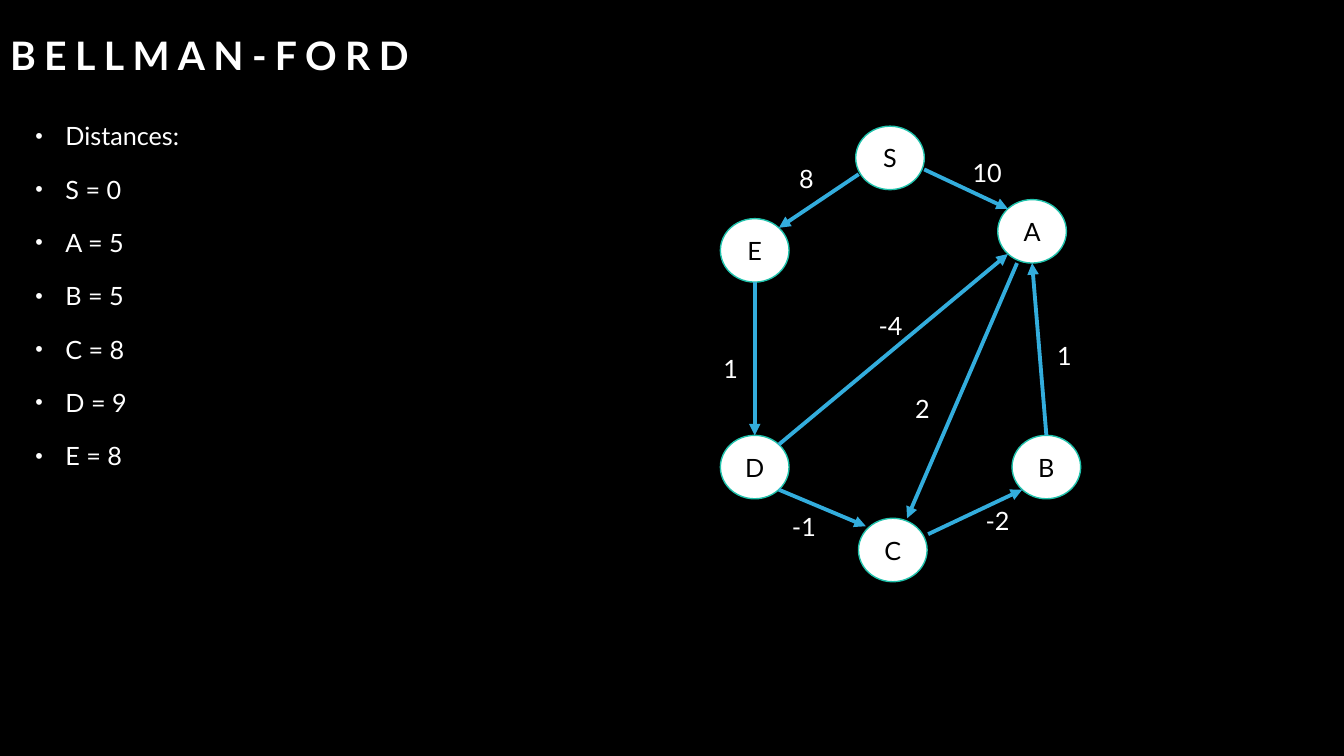
from typing import NamedTuple

from lxml import etree
from pptx import Presentation
from pptx.dml.color import RGBColor
from pptx.enum.shapes import MSO_CONNECTOR, MSO_SHAPE
from pptx.enum.text import MSO_ANCHOR, MSO_AUTO_SIZE, PP_ALIGN
from pptx.oxml.ns import qn
from pptx.util import Cm, Pt

ELLIPSE, STRAIGHT = MSO_SHAPE.OVAL, MSO_CONNECTOR.STRAIGHT
LEFT, CENTER = PP_ALIGN.LEFT, PP_ALIGN.CENTER
TOP, MIDDLE, BOTTOM = MSO_ANCHOR.TOP, MSO_ANCHOR.MIDDLE, MSO_ANCHOR.BOTTOM
NO_AUTOFIT = MSO_AUTO_SIZE.NONE

BLACK = RGBColor(0x00, 0x00, 0x00)
WHITE = RGBColor(0xFF, 0xFF, 0xFF)
TEAL = RGBColor(0x20, 0xC2, 0xAC)
BLUE = RGBColor(0x33, 0xAD, 0xDD)

FONT = "Lato"
NODE_W, NODE_H = 1.73, 1.6
LABEL_W, LABEL_H = 2.08, 1.02
BULLET_INDENT = Cm(0.76)


class Node(NamedTuple):
    """A vertex: its name and centre in cm."""
    name: str
    x: float
    y: float


class Edge(NamedTuple):
    """A directed edge: its ends, weight and weight label corner in cm."""
    start: tuple[float, float]
    end: tuple[float, float]
    weight: int
    label: tuple[float, float]


NODES = [
    Node("S", 22.43, 3.98),
    Node("E", 19.02, 6.31),
    Node("D", 19.02, 11.77),
    Node("A", 26.01, 5.83),
    Node("B", 26.37, 11.77),
    Node("C", 22.5, 13.86),
]
EDGES = [
    Edge((21.64, 4.39), (19.63, 5.74), 8, (19.89, 3.99)),
    Edge((23.29, 4.27), (25.4, 5.26), 10, (24.26, 3.84)),
    Edge((19.02, 7.11), (19.02, 10.97), 1, (17.98, 8.79)),
    Edge((19.63, 11.2), (25.4, 6.4), -4, (21.89, 7.7)),
    Edge((25.63, 6.63), (22.86, 13.06), 2, (22.81, 9.78)),
    Edge((19.63, 12.34), (21.82, 13.26), -1, (19.71, 12.75)),
    Edge((23.39, 13.46), (25.76, 12.34), -2, (24.59, 12.62)),
    Edge((26.37, 10.97), (26.01, 6.63), 1, (26.39, 8.46)),
]
DISTANCES = {"S": 0, "A": 5, "B": 5, "C": 8, "D": 9, "E": 8}


def write(sp, *lines: str, size=18, color=WHITE, bold=False, align=LEFT,
          anchor=TOP, line_spacing=1.0, before=0, tracking=0, bullet="") -> None:
    """Fill a shape with one formatted paragraph per line."""
    tf = sp.text_frame
    tf.word_wrap, tf.auto_size, tf.vertical_anchor = True, NO_AUTOFIT, anchor
    for i, line in enumerate(lines):
        p = tf.add_paragraph() if i else tf.paragraphs[0]
        p.alignment, p.line_spacing, p.space_before = align, line_spacing, Pt(before)
        r = p.add_run()
        r.text = line
        r.font.name, r.font.size, r.font.bold = FONT, Pt(size), bold
        r.font.color.rgb = color
        if tracking:
            r.font._element.set("spc", str(tracking * 100))
        if bullet:
            add_bullet(p, bullet)


def add_bullet(p, char: str) -> None:
    """Give a paragraph a hanging bullet."""
    pPr = p._p.get_or_add_pPr()
    pPr.set("marL", str(BULLET_INDENT))
    pPr.set("indent", str(-BULLET_INDENT))
    etree.SubElement(pPr, qn("a:buSzPct"), val="85000")
    etree.SubElement(pPr, qn("a:buFont"), typeface="Arial")
    etree.SubElement(pPr, qn("a:buChar"), char=char)


def add_text(s, x: float, y: float, w: float, h: float, *lines: str, **fmt) -> None:
    """Add a text box placed in cm."""
    write(s.shapes.add_textbox(Cm(x), Cm(y), Cm(w), Cm(h)), *lines, **fmt)


def add_node(s, node: Node) -> None:
    """Draw a vertex around its centre."""
    sp = s.shapes.add_shape(ELLIPSE, Cm(node.x - NODE_W / 2), Cm(node.y - NODE_H / 2),
                            Cm(NODE_W), Cm(NODE_H))
    sp.shadow.inherit = False
    sp.fill.solid()
    sp.fill.fore_color.rgb = WHITE
    sp.line.color.rgb = TEAL
    sp.line.width = Pt(1)
    write(sp, node.name, color=BLACK, align=CENTER, anchor=MIDDLE)


def add_edge(s, edge: Edge) -> None:
    """Draw an arrow and its weight."""
    cxn = s.shapes.add_connector(STRAIGHT, *map(Cm, edge.start + edge.end))
    cxn.line.color.rgb = BLUE
    cxn.line.width = Pt(2.75)
    etree.SubElement(cxn.line._get_or_add_ln(), qn("a:tailEnd"), type="triangle")
    etree.SubElement(cxn._element.spPr, qn("a:effectLst"))
    add_text(s, *edge.label, LABEL_W, LABEL_H, str(edge.weight))


prs = Presentation()
prs.slide_width, prs.slide_height = Cm(33.87), Cm(19.05)
s = prs.slides.add_slide(prs.slide_layouts[5])
s.background.fill.solid()
s.background.fill.fore_color.rgb = BLACK

title = s.shapes.title
title.left, title.top, title.width, title.height = Cm(0), Cm(-0.36), Cm(25.65), Cm(2.46)
write(title, "BELLMAN-FORD", size=28, bold=True, anchor=BOTTOM,
      line_spacing=1.2, tracking=6)

add_text(s, 0.64, 2.69, 9.9, 15.85, "Distances:",
         *(f"{name} = {distance}" for name, distance in DISTANCES.items()),
         line_spacing=1.3, before=10, bullet="•")

for node in NODES:
    add_node(s, node)
for edge in EDGES:
    add_edge(s, edge)

prs.save("out.pptx")
